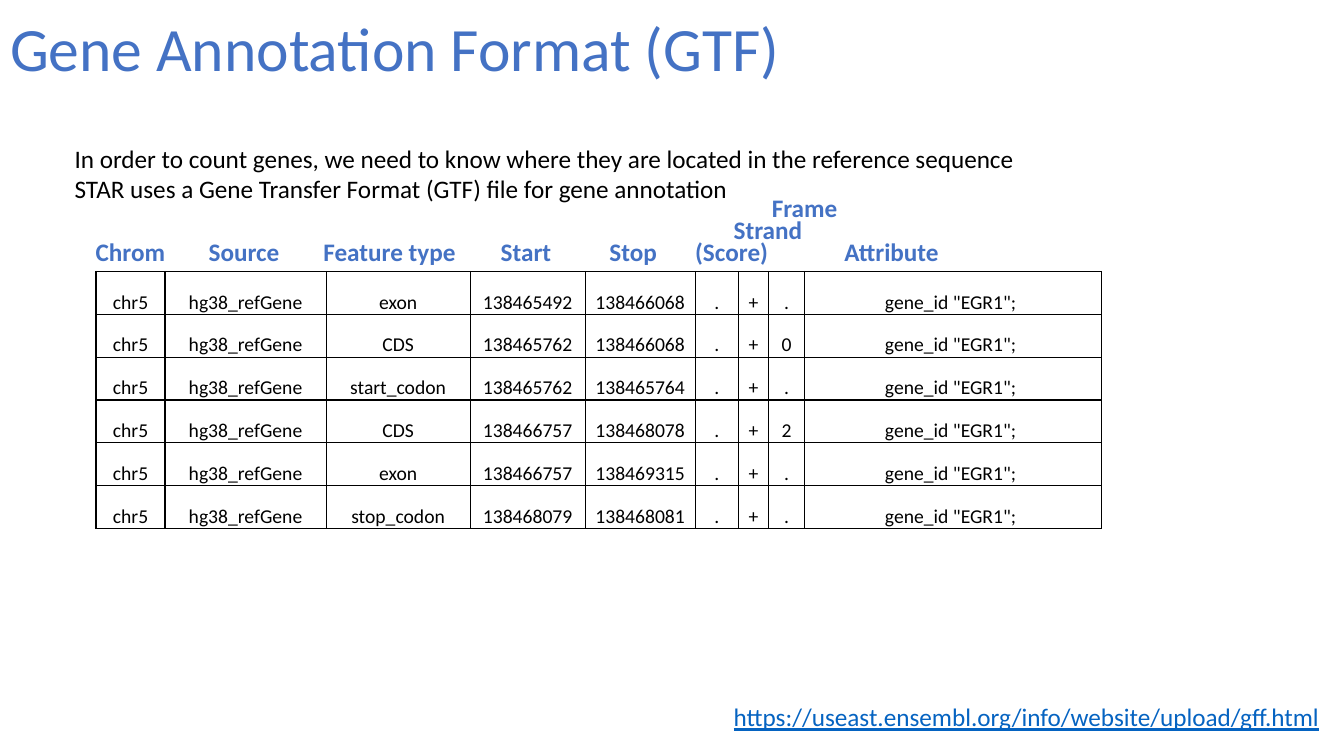
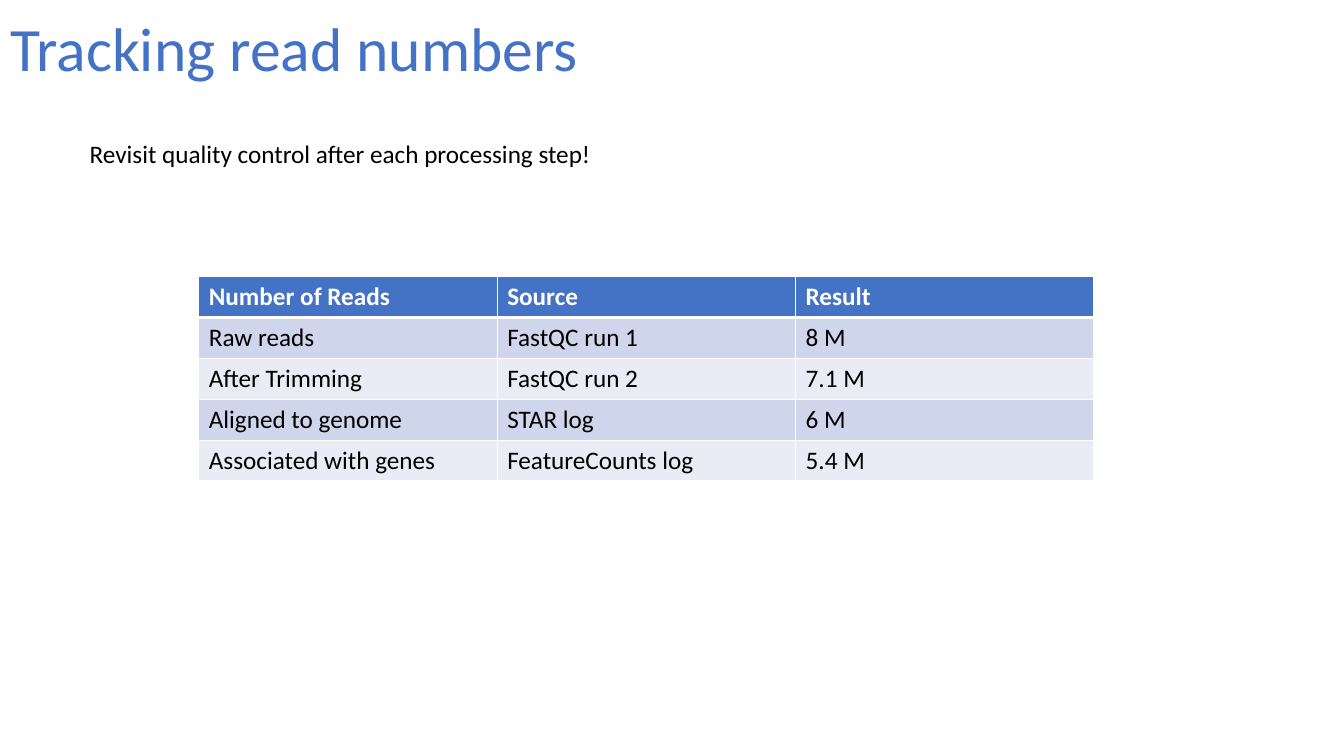
from dataclasses import dataclass

from lxml import etree
from pptx import Presentation
from pptx.dml.color import RGBColor
from pptx.enum.text import MSO_ANCHOR, MSO_AUTO_SIZE, PP_ALIGN
from pptx.oxml.ns import qn
from pptx.util import Cm, Pt

LEFT, CENTER = PP_ALIGN.LEFT, PP_ALIGN.CENTER
TOP, MIDDLE, BOTTOM = MSO_ANCHOR.TOP, MSO_ANCHOR.MIDDLE, MSO_ANCHOR.BOTTOM
FIT_SHAPE, NO_FIT = MSO_AUTO_SIZE.SHAPE_TO_FIT_TEXT, MSO_AUTO_SIZE.NONE
TITLE_ONLY = 5


@dataclass(frozen=True)
class Theme:
    font: str = "Calibri"
    accent: str = "4472C4"
    text: str = "000000"
    white: str = "FFFFFF"
    link: str = "0563C1"
    bands: tuple = ("CFD5EA", "E9EBF5")
    title_size: int = 44
    body_size: int = 18
    cell_size: int = 14


THEME = Theme()
BODY = {"size": Pt(THEME.body_size), "bold": False}
LABEL = {"size": Pt(THEME.body_size), "bold": True}
LINK = {"size": Pt(THEME.body_size), "underline": True}
TITLE = {"size": Pt(THEME.title_size), "bold": False}
CELL = {"size": Pt(THEME.cell_size), "bold": False}


def write(text_frame, lines, color, formats, alignment=LEFT):
    """Fill a text frame with one formatted paragraph per line."""
    for index, line in enumerate(lines):
        paragraph = text_frame.paragraphs[0] if index == 0 else text_frame.add_paragraph()
        paragraph.text = line
        paragraph.alignment = alignment
        font = paragraph.runs[0].font
        for name, value in formats.items():
            setattr(font, name, value)
        font.name = THEME.font
        font.color.rgb = RGBColor.from_string(color)


def add_grid(slide, left, top, widths, row_height, row_count, border):
    """Add a table with uniform borders; return its cells row by row."""
    shape = slide.shapes.add_table(row_count, len(widths), Cm(left), Cm(top),
                                   Cm(sum(widths)), Cm(row_height * row_count))
    table = shape.table
    table.first_row = table.horz_banding = False
    for column, width in zip(table.columns, widths):
        column.width = Cm(width)
    for row in table.rows:
        row.height = Cm(row_height)
    for cell in table.iter_cells():
        properties = cell._tc.get_or_add_tcPr()
        for side in ("a:lnL", "a:lnR", "a:lnT", "a:lnB"):
            line = etree.SubElement(properties, qn(side), w=str(Pt(1)))
            fill = etree.SubElement(line, qn("a:solidFill"))
            etree.SubElement(fill, qn("a:srgbClr"), val=border)
    return [list(row.cells) for row in table.rows]


presentation = Presentation()
presentation.slide_width = Cm(33.87)
presentation.slide_height = Cm(19.05)

# Slides with their shared title style
slides = []
for title_text in ("Gene Annotation Format (GTF)", "Tracking read numbers"):
    slide = presentation.slides.add_slide(presentation.slide_layouts[TITLE_ONLY])
    title = slide.shapes.title
    title.left, title.top, title.width, title.height = Cm(0), Cm(0.13), Cm(29.21), Cm(2.34)
    title.text_frame.auto_size = NO_FIT
    title.text_frame.vertical_anchor = MIDDLE
    write(title.text_frame, [title_text], THEME.accent, TITLE)
    title.text_frame.paragraphs[0].line_spacing = 0.9
    slides.append(slide)
annotation_slide, tracking_slide = slides

# Text boxes: slide, lines, left, top, width, height, colour, format
LINE_HEIGHT = 1.02
text_boxes = [
    (annotation_slide,
     ["In order to count genes, we need to know where they are located in the reference sequence",
      "STAR uses a Gene Transfer Format (GTF) file for gene annotation"],
     1.63, 3.48, 24.51, 1.8, THEME.text, BODY),
    (annotation_slide, ["https://useast.ensembl.org/info/website/upload/gff.html"],
     18.24, 17.55, 15.47, LINE_HEIGHT, THEME.link, LINK),
    (tracking_slide, ["Revisit quality control after each processing step!"],
     2.01, 3.36, 13.31, LINE_HEIGHT, THEME.text, BODY),
]

# Column labels: text, left, width, steps raised above the common line
LABEL_TOP, LABEL_STEP = 5.82, 0.55
column_labels = [
    ("Chrom", 2.16, 2.26, 0),
    ("Source", 5.01, 2.29, 0),
    ("Feature type", 7.9, 3.86, 0),
    ("Start", 12.37, 1.8, 0),
    ("Stop", 15.11, 1.73, 0),
    ("(Score)", 17.27, 2.36, 0),
    ("Strand", 18.24, 2.26, 1),
    ("Frame", 19.2, 2.18, 2),
    ("Attribute", 21.03, 2.92, 0),
]
for label, left, width, steps in column_labels:
    text_boxes.append((annotation_slide, [label], left, LABEL_TOP - steps * LABEL_STEP,
                       width, LINE_HEIGHT, THEME.accent, LABEL))

for slide, lines, left, top, width, height, color, formats in text_boxes:
    box = slide.shapes.add_textbox(Cm(left), Cm(top), Cm(width), Cm(height))
    box.text_frame.word_wrap = False
    box.text_frame.auto_size = FIT_SHAPE
    write(box.text_frame, lines, color, formats)

# Annotation table: feature type, start, stop and frame vary by row
features = [
    ("exon", "138465492", "138466068", "."),
    ("CDS", "138465762", "138466068", "0"),
    ("start_codon", "138465762", "138465764", "."),
    ("CDS", "138466757", "138468078", "2"),
    ("exon", "138466757", "138469315", "."),
    ("stop_codon", "138468079", "138468081", "."),
]
annotation_widths = [1.74, 4.06, 3.63, 2.9, 2.77, 1.09, 0.76, 0.91, 7.47]
annotation_cells = add_grid(annotation_slide, 2.42, 6.84, annotation_widths, 1.08,
                            len(features), THEME.text)
cell_layout = {"margin_left": Cm(0.03), "margin_right": Cm(0.03), "margin_top": Cm(0.03),
               "margin_bottom": Cm(0), "vertical_anchor": BOTTOM}
for cells, (feature, start, stop, frame) in zip(annotation_cells, features):
    values = ("chr5", "hg38_refGene", feature, start, stop, ".", "+", frame, 'gene_id "EGR1"; ')
    for cell, value in zip(cells, values):
        for name, setting in cell_layout.items():
            setattr(cell, name, setting)
        cell.fill.background()
        write(cell.text_frame, [value], THEME.text, CELL, CENTER)

# Read count table: header row, then alternating bands
read_counts = [
    ("Number of Reads", "Source", "Result"),
    ("Raw reads", "FastQC run 1", "8 M"),
    ("After Trimming", "FastQC run 2", "7.1 M"),
    ("Aligned to genome", "STAR log", "6 M"),
    ("Associated with genes", "FeatureCounts log", "5.4 M"),
]
read_cells = add_grid(tracking_slide, 5.01, 6.97, [7.52] * 3, 1.03, len(read_counts), THEME.white)
for index, (cells, values) in enumerate(zip(read_cells, read_counts)):
    is_header = index == 0
    fill_color = THEME.accent if is_header else THEME.bands[(index - 1) % 2]
    text_color = THEME.white if is_header else THEME.text
    for cell, value in zip(cells, values):
        cell.vertical_anchor = TOP
        cell.fill.solid()
        cell.fill.fore_color.rgb = RGBColor.from_string(fill_color)
        write(cell.text_frame, [value], text_color, LABEL if is_header else BODY)

# Thicker rule between the header and the first band
for cells, side in zip(read_cells, ("a:lnB", "a:lnT")):
    for cell in cells:
        cell._tc.tcPr.find(qn(side)).set("w", str(Pt(3)))

presentation.save("out.pptx")
